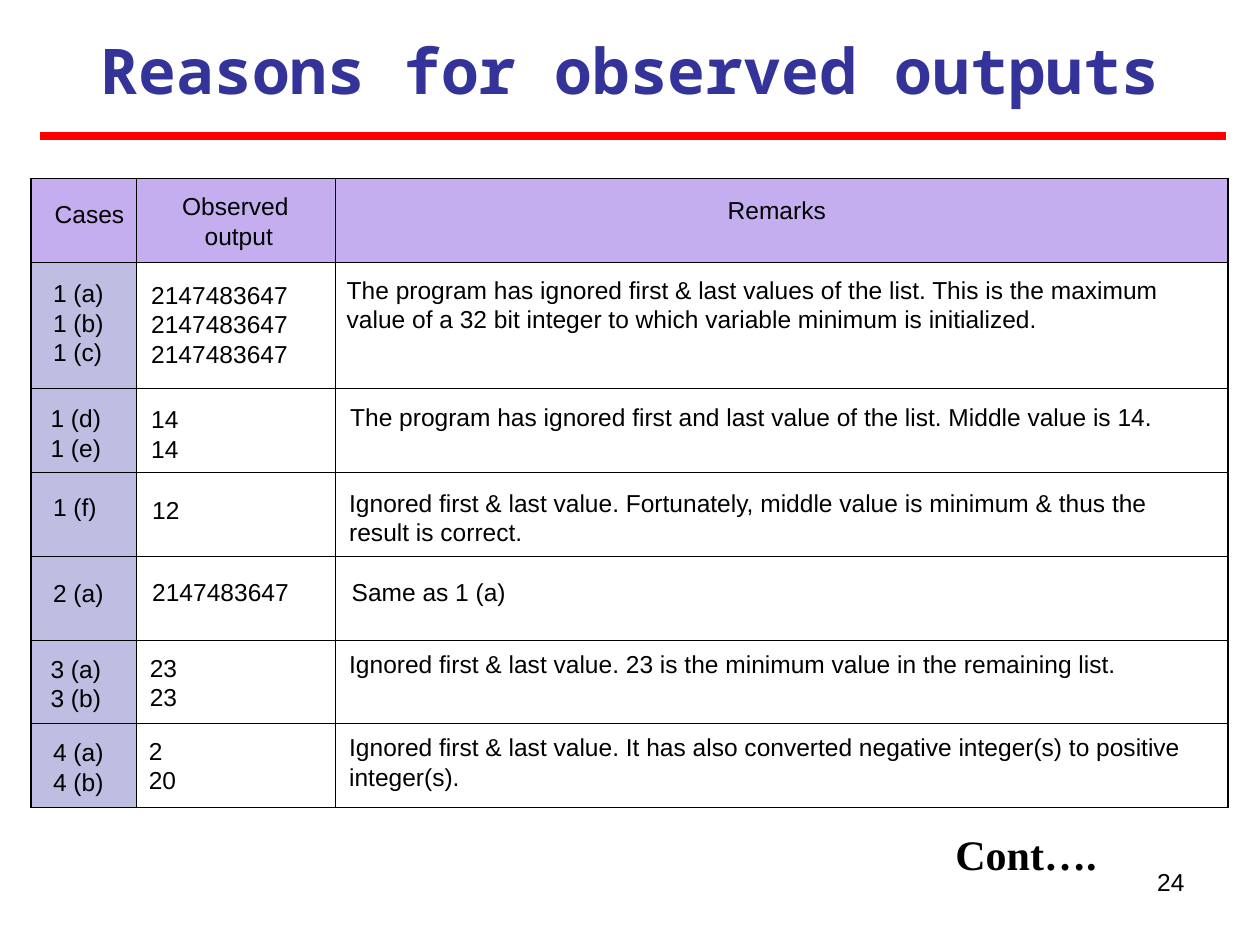
from lxml import etree
from pptx import Presentation
from pptx.dml.color import RGBColor
from pptx.enum import shapes, text
from pptx.oxml import ns
from pptx.util import Cm, Pt

BLACK = RGBColor(0, 0, 0)
BLUE = RGBColor(0x33, 0x33, 0x99)
RED = RGBColor(0xFF, 0, 0)
LILAC = RGBColor(0xC4, 0xAE, 0xF0)
GREY = RGBColor(0xBD, 0xBE, 0xE1)

LEFT, CENTER, RIGHT = text.PP_ALIGN.LEFT, text.PP_ALIGN.CENTER, text.PP_ALIGN.RIGHT

COLS = [2.12, 4.02, 17.99]
ROWS = [1.69, 2.54, 1.69, 1.69, 1.69, 1.69, 1.69]
MAX = "2147483647"

HEADS = [
    (1.07, 4.01, 1.47, ["Cases"]),
    (3.05, 3.86, 3.53, ["Observed ", "output"]),
    (7.19, 3.94, 16.94, ["Remarks"]),
]
WIDTHS = [1.27, 3.53, 17.35]
CASES = [
    [(1.07, 5.61, ["1 (a)", "1 (b)", "1 (c)"]),
     (3.05, 5.64, [MAX, MAX, MAX]),
     (6.99, 5.54, ["The program has ignored first & last values of the list. This is the "
                   "maximum value of a 32 bit integer to which variable minimum is initialized."])],
    [(1.02, 8.13, ["1 (d)", "1 (e)"]),
     (3.05, 8.15, ["14", "14"]),
     (7.06, 8.1, ["The program has ignored first and last value of the list. "
                  "Middle value is 14."])],
    [(1.07, 9.91, ["1 (f)"]),
     (3.07, 9.98, ["12"]),
     (7.04, 9.83, ["Ignored first & last value. Fortunately, middle value is minimum "
                   "& thus the result is correct."])],
    [(1.07, 11.66, ["2 (a)"]),
     (3.07, 11.63, [MAX]),
     (7.09, 11.63, ["Same as 1 (a)"])],
    [(1.02, 13.18, ["3 (a)", "3 (b)"]),
     (3.02, 13.16, ["23", "23"]),
     (7.04, 13.08, ["Ignored first & last value. 23 is the minimum value in the "
                    "remaining list."])],
    [(1.07, 14.86, ["4 (a)", "4 (b)"]),
     (3, 14.83, ["2", "20"]),
     (7.04, 14.76, ["Ignored first & last value. It has also converted negative "
                    "integer(s) to positive integer(s)."])],
]


def write(slide, box, lines, align=LEFT, font="Arial", size=14, color=BLACK,
          bold=False, pad=(0, 0), pitch=1.2, anchor=text.MSO_ANCHOR.TOP):
    frame = slide.shapes.add_textbox(*map(Cm, box)).text_frame
    frame.word_wrap = True
    frame.auto_size = text.MSO_AUTO_SIZE.NONE if any(pad) else text.MSO_AUTO_SIZE.SHAPE_TO_FIT_TEXT
    frame.vertical_anchor = anchor
    frame.margin_left = frame.margin_right = Cm(pad[0])
    frame.margin_top = frame.margin_bottom = Cm(pad[1])
    for i, line in enumerate(lines):
        para = frame.paragraphs[0] if i == 0 else frame.add_paragraph()
        para.alignment = align
        if pitch:
            para.line_spacing = Pt(size * pitch)
        run = para.add_run()
        run.text = line
        run.font.name, run.font.size, run.font.bold = font, Pt(size), bold
        run.font.color.rgb = color


def edge(cell, side, width):
    line = etree.SubElement(cell._tc.get_or_add_tcPr(), ns.qn("a:" + side), w=str(Pt(width)))
    fill = etree.SubElement(line, ns.qn("a:solidFill"))
    etree.SubElement(fill, ns.qn("a:srgbClr"), val=str(BLACK))


def grid(slide):
    frame = slide.shapes.add_table(len(ROWS), len(COLS), Cm(0.63), Cm(3.6),
                                   Cm(sum(COLS)), Cm(sum(ROWS)))
    table = frame.table
    table.first_row = table.horz_banding = False
    for col, width in zip(table.columns, COLS):
        col.width = Cm(width)
    for row, height in zip(table.rows, ROWS):
        row.height = Cm(height)
    for r in range(len(ROWS)):
        for c in range(len(COLS)):
            cell = table.cell(r, c)
            outer = {"lnL": c == 0, "lnR": c == len(COLS) - 1,
                     "lnT": r == 0, "lnB": r == len(ROWS) - 1}
            for side, out in outer.items():
                edge(cell, side, 1.08 if out else 0.45)
            if r == 0 or c == 0:
                cell.fill.solid()
                cell.fill.fore_color.rgb = LILAC if r == 0 else GREY
            else:
                cell.fill.background()


def rule(slide):
    line = slide.shapes.add_connector(shapes.MSO_CONNECTOR.STRAIGHT,
                                      Cm(0.81), Cm(2.74), Cm(24.71), Cm(2.74))
    line.line.color.rgb = RED
    line.line.width = Pt(4.5)
    etree.SubElement(line._element.spPr, ns.qn("a:effectLst"))


def main():
    deck = Presentation()
    deck.slide_width, deck.slide_height = Cm(25.4), Cm(19.05)
    slide = deck.slides.add_slide(deck.slide_layouts[6])
    write(slide, (18.21, 17.35, 5.92, 1.32), ["24"], RIGHT, pad=(0.25, 0.13), pitch=None)
    grid(slide)
    write(slide, (0.64, 0.64, 24.13, 1.52), ["Reasons for observed outputs"], CENTER,
          "Noto Sans Mono", 36, BLUE, True, pitch=None, anchor=text.MSO_ANCHOR.MIDDLE)
    for x, y, wide, lines in HEADS:
        write(slide, (x, y, wide, 0.59 * len(lines)), lines, CENTER)
    for case in CASES:
        for wide, (x, y, lines) in zip(WIDTHS, case):
            count = sum(1 + len(line) // 80 for line in lines)
            write(slide, (x, y, wide, 0.59 * count), lines)
    rule(slide)
    write(slide, (19.26, 16.71, 3.1, 1.02), ["Cont…."], font="Times New Roman",
          size=24, bold=True)
    deck.save("out.pptx")


if __name__ == "__main__":
    main()
